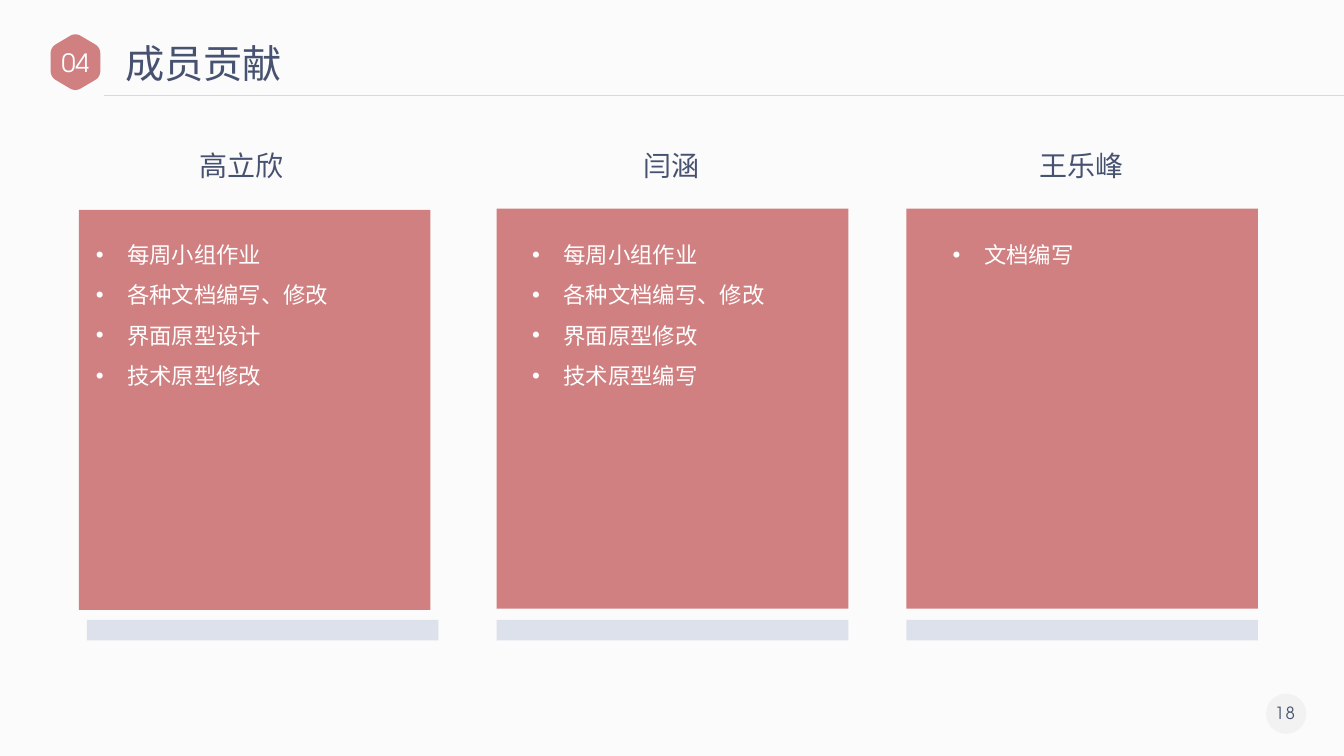
import math
import pptx
import pptx.dml.color
import pptx.enum.shapes
import pptx.enum.text
import pptx.oxml
import pptx.oxml.ns
import pptx.util

Pt = pptx.util.Pt
SHAPES = pptx.enum.shapes.MSO_SHAPE
ALIGN = pptx.enum.text.PP_ALIGN
MIDDLE = pptx.enum.text.MSO_ANCHOR.MIDDLE
LATIN, CHINESE = "TeX Gyre Adventor", "Noto Sans CJK SC"
ROSE, NAVY, PALE, WHITE = "D08081", "475270", "DDE1EC", "FFFFFF"

TITLE, SECTION, PAGE_NUMBER = "成员贡献", "04", "18"
PANEL_WIDTH, PANEL_HEIGHT = 251.2, 285.8
MEMBERS = [
    {"name": "高立欣", "name_centre": 172.6, "panel": (56.3, 149.9), "bar_left": 62,
     "list_left": 61.4, "list_width": 225,
     "tasks": ["每周小组作业", "各种文档编写、修改", "界面原型设计", "技术原型修改"]},
    {"name": "闫涵", "name_centre": 479.8, "panel": (354.8, 149), "bar_left": 354.8,
     "list_left": 373, "list_width": 199,
     "tasks": ["每周小组作业", "各种文档编写、修改", "界面原型修改", "技术原型编写"]},
    {"name": "王乐峰", "name_centre": 772.8, "panel": (647.4, 149), "bar_left": 647.4,
     "list_left": 673.4, "list_width": 199,
     "tasks": ["文档编写"]},
]


def color(value):
    return pptx.dml.color.RGBColor.from_string(value)


def paint(shape, fill):
    shape.shadow.inherit = False
    shape.fill.solid()
    shape.fill.fore_color.rgb = color(fill)
    shape.line.fill.background()


def add_block(page, kind, left, top, width, height, fill):
    block = page.shapes.add_shape(kind, Pt(left), Pt(top), Pt(width), Pt(height))
    paint(block, fill)
    return block


def add_span(para, text, size, ink, font):
    span = para.add_run()
    span.text = text
    span.font.size = Pt(size)
    span.font.name = font
    span.font.color.rgb = color(ink)
    east_asian = pptx.oxml.parse_xml(
        f'<a:ea {pptx.oxml.ns.nsdecls("a")} typeface="{CHINESE}"/>')
    span.font._element.find(pptx.oxml.ns.qn("a:latin")).addnext(east_asian)
    return span


def add_text_box(page, left, top, width, height, wrap=True):
    box = page.shapes.add_textbox(Pt(left), Pt(top), Pt(width), Pt(height))
    box.text_frame.word_wrap = wrap
    return box.text_frame


def add_bullet(para):
    properties = para._p.get_or_add_pPr()
    properties.set("marL", str(Pt(22.5)))
    properties.set("indent", str(-Pt(22.5)))
    namespace = pptx.oxml.ns.nsdecls("a")
    properties.append(pptx.oxml.parse_xml(f'<a:buFont {namespace} typeface="Arial"/>'))
    properties.append(pptx.oxml.parse_xml(f'<a:buChar {namespace} char="•"/>'))


def rounded_outline(corners, trim, steps=8):
    """Points of a polygon whose corners are replaced by quadratic curves."""
    points = []
    for index, corner in enumerate(corners):
        ends = []
        for other in (corners[index - 1], corners[(index + 1) % len(corners)]):
            share = trim / math.dist(corner, other)
            ends.append([c + (o - c) * share for c, o in zip(corner, other)])
        for step in range(steps + 1):
            t = step / steps
            points.append(tuple(
                Pt((1 - t) ** 2 * a + 2 * t * (1 - t) * c + t * t * b)
                for a, c, b in zip(ends[0], corner, ends[1])))
    return points


def add_section_badge(page):
    corners = [(53.9, 23.4), (71.7, 33.9), (71.7, 55), (53.9, 65.5), (36.2, 55), (36.2, 33.9)]
    points = rounded_outline(corners, 4.5)
    builder = page.shapes.build_freeform(*points[0])
    builder.add_line_segments(points[1:], close=True)
    badge = builder.convert_to_shape()
    paint(badge, ROSE)
    frame = badge.text_frame
    frame.margin_left = frame.margin_right = frame.margin_top = frame.margin_bottom = 0
    frame.vertical_anchor = MIDDLE
    frame.word_wrap = False
    frame.paragraphs[0].alignment = ALIGN.CENTER
    add_span(frame.paragraphs[0], SECTION, 18, WHITE, LATIN)


def add_title(page):
    title = page.shapes.title
    title.left, title.top, title.width, title.height = Pt(82.2), Pt(24), Pt(127.4), Pt(41.2)
    frame = title.text_frame
    frame.word_wrap = False
    frame.vertical_anchor = MIDDLE
    frame.auto_size = pptx.enum.text.MSO_AUTO_SIZE.NONE
    frame.paragraphs[0].alignment = ALIGN.LEFT
    add_span(frame.paragraphs[0], TITLE, 28, NAVY, CHINESE)


def add_title_rule(page):
    rule = page.shapes.add_connector(
        pptx.enum.shapes.MSO_CONNECTOR.STRAIGHT, Pt(74.2), Pt(68.4), Pt(960), Pt(68.4))
    rule.line.color.rgb = color("D9D9D9")
    rule.line.width = Pt(1)
    rule._element.spPr.append(
        pptx.oxml.parse_xml(f'<a:effectLst {pptx.oxml.ns.nsdecls("a")}/>'))


def add_page_number(page):
    disc = add_block(page, SHAPES.OVAL, 904.3, 495.4, 28.8, 28.8, "A6A6A6")
    disc.fill._xPr.find(".//" + pptx.oxml.ns.qn("a:srgbClr")).append(
        pptx.oxml.parse_xml(f'<a:alpha {pptx.oxml.ns.nsdecls("a")} val="10000"/>'))
    frame = add_text_box(page, 898, 498.4, 39.6, 21.8)
    frame.vertical_anchor = MIDDLE
    frame.paragraphs[0].alignment = ALIGN.CENTER
    span = add_span(frame.paragraphs[0], PAGE_NUMBER, 12, NAVY, LATIN)
    span.font._element.set("spc", "100")


def add_member(page, member):
    add_block(page, SHAPES.RECTANGLE, *member["panel"], PANEL_WIDTH, PANEL_HEIGHT, ROSE)
    add_block(page, SHAPES.RECTANGLE, member["bar_left"], 442.8, PANEL_WIDTH, 14.6, PALE)

    width = 20 * len(member["name"]) + 14.4
    heading = add_text_box(page, member["name_centre"] - width / 2, 102.2, width, 31.5, False)
    heading.paragraphs[0].alignment = ALIGN.CENTER
    add_span(heading.paragraphs[0], member["name"], 20, NAVY, CHINESE)

    tasks = member["tasks"]
    frame = add_text_box(
        page, member["list_left"], 159.1, member["list_width"], 28.8 * len(tasks) + 5)
    for index, task in enumerate(tasks):
        para = frame.add_paragraph() if index else frame.paragraphs[0]
        para.line_spacing = 1.5
        add_bullet(para)
        add_span(para, task, 16, WHITE, LATIN)


def main():
    deck = pptx.Presentation()
    deck.slide_width, deck.slide_height = Pt(960), Pt(540)
    page = deck.slides.add_slide(deck.slide_layouts[5])
    page.background.fill.solid()
    page.background.fill.fore_color.rgb = color("FBFBFB")
    add_page_number(page)
    add_title_rule(page)
    add_section_badge(page)
    add_title(page)
    for member in MEMBERS:
        add_member(page, member)
    deck.save("out.pptx")


if __name__ == "__main__":
    main()
